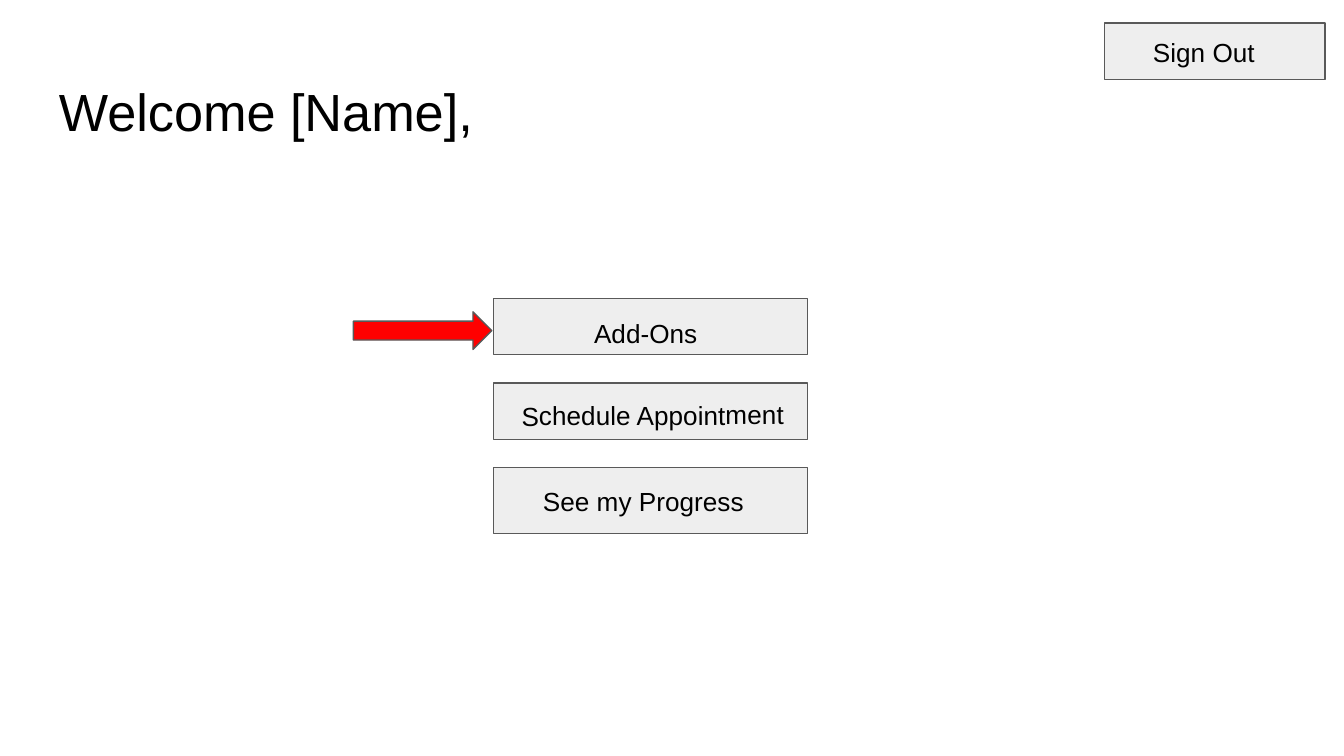
from pptx import Presentation
from pptx.dml.color import RGBColor
from pptx.enum.shapes import MSO_SHAPE
from pptx.enum.text import MSO_ANCHOR, PP_ALIGN
from pptx.util import Inches, Pt

BLACK = RGBColor(0x00, 0x00, 0x00)
BUTTON_GRAY = RGBColor(0xEE, 0xEE, 0xEE)
OUTLINE_GRAY = RGBColor(0x59, 0x59, 0x59)
ARROW_RED = RGBColor(0xFF, 0x00, 0x00)

BUTTON_LEFT, BUTTON_WIDTH, BUTTON_HEIGHT = 3.67, 2.34, 0.42
MENU_TOP, MENU_STEP = 2.22, 0.63


def write_text(shape, text, size=14, left_inset=0.1, anchor=MSO_ANCHOR.TOP):
    frame = shape.text_frame
    frame.word_wrap = True
    frame.vertical_anchor = anchor
    frame.margin_left = Inches(left_inset)
    frame.margin_right = frame.margin_top = frame.margin_bottom = Inches(0.1)
    paragraph = frame.paragraphs[0]
    paragraph.alignment = PP_ALIGN.LEFT
    run = paragraph.add_run()
    run.text = text
    run.font.name = "Arial"
    run.font.size = Pt(size)
    run.font.color.rgb = BLACK


def add_label(slide, text, left, top, width, height, size=14, left_inset=0.1):
    label = slide.shapes.add_textbox(
        Inches(left), Inches(top), Inches(width), Inches(height))
    write_text(label, text, size, left_inset)
    return label


def add_outlined_shape(slide, kind, left, top, width, height, color):
    shape = slide.shapes.add_shape(
        kind, Inches(left), Inches(top), Inches(width), Inches(height))
    shape.shadow.inherit = False
    shape.fill.solid()
    shape.fill.fore_color.rgb = color
    shape.line.color.rgb = OUTLINE_GRAY
    shape.line.width = Pt(0.75)
    return shape


def add_button(slide, left, top, width, height=BUTTON_HEIGHT):
    return add_outlined_shape(
        slide, MSO_SHAPE.RECTANGLE, left, top, width, height, BUTTON_GRAY)


def add_menu(slide):
    for row, height in enumerate((BUTTON_HEIGHT, BUTTON_HEIGHT, 0.49)):
        button = add_button(
            slide, BUTTON_LEFT, MENU_TOP + row * MENU_STEP, BUTTON_WIDTH, height)
    write_text(button, "See my Progress", left_inset=0.37, anchor=MSO_ANCHOR.MIDDLE)
    add_label(slide, "Add-Ons", 4.22, 2.26, 1.25, 0.35, left_inset=0.2)
    appointment = add_label(
        slide, "Schedule Appointment", 3.72, 2.87, 2.6, 0.23, left_inset=0.16)
    appointment.rotation = 359.7


def main():
    presentation = Presentation()
    presentation.slide_width = Inches(10)
    presentation.slide_height = Inches(10 * 9 / 16)
    slide = presentation.slides.add_slide(presentation.slide_layouts[6])

    add_button(slide, 8.22, 0.17, 1.64)
    add_label(slide, "Welcome [Name],", 0.34, 0.49, 9.32, 0.63, size=28)
    add_label(slide, "Sign Out", 8.48, 0.17, 1.25, 0.35)
    add_menu(slide)
    add_outlined_shape(
        slide, MSO_SHAPE.RIGHT_ARROW, 2.63, 2.32, 1.03, 0.28, ARROW_RED)

    presentation.save("out.pptx")


if __name__ == "__main__":
    main()
